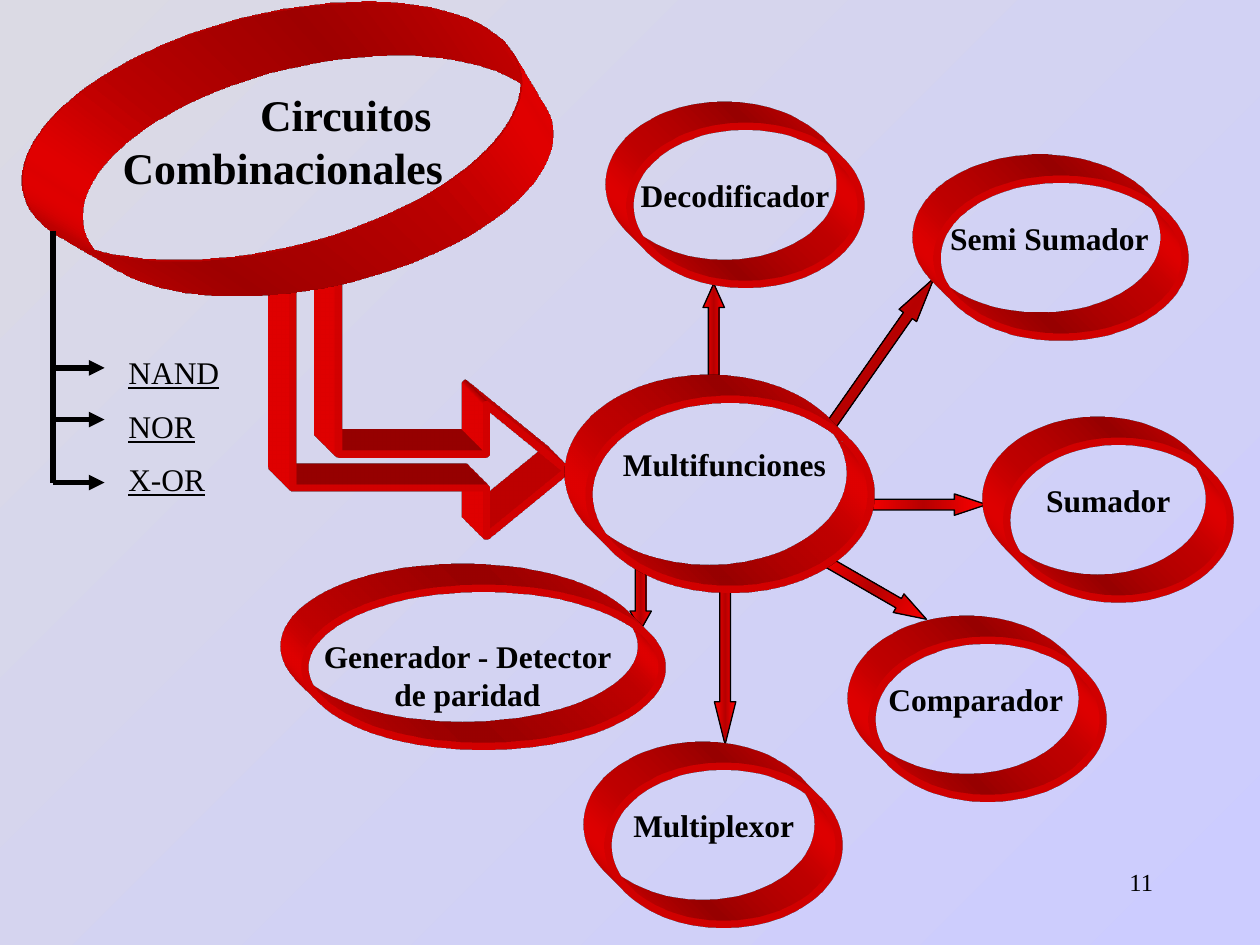
import pptx
import pptx.util
import pptx.oxml
import pptx.oxml.ns
import pptx.dml.color
import pptx.enum.shapes
import pptx.enum.text
from dataclasses import dataclass

Inches = pptx.util.Inches
Pt = pptx.util.Pt
Shape = pptx.enum.shapes.MSO_SHAPE
Align = pptx.enum.text.PP_ALIGN
NS = pptx.oxml.ns.nsdecls("a")


@dataclass
class Theme:
    font: str = "Times New Roman"
    ink: str = "000000"
    red: str = "FF0000"
    dark_red: str = "B60000"
    back_start: str = "DBDAE4"
    back_end: str = "CCCCFF"
    title: float = 25
    label: float = 18
    page: float = 14
    ring_line: float = 4.25
    tree_line: float = 3
    arrow_line: float = 0.75


def rgb(value):
    return pptx.dml.color.RGBColor.from_string(value)


class Diagram:
    def __init__(self, slide, theme):
        self.slide, self.theme = slide, theme

    def background(self):
        fill = self.slide.background.fill
        fill.gradient()
        fill.gradient_angle = 315
        colors = (self.theme.back_start, self.theme.back_end)
        for stop, position, color in zip(fill.gradient_stops, (0, 1), colors):
            stop.position = position
            stop.color.rgb = rgb(color)

    def text(self, box, words, size=None, bold=False, underline=False,
             align=Align.LEFT, spacing=None, indent=0):
        shape = self.slide.shapes.add_textbox(*map(Inches, box))
        frame = shape.text_frame
        frame.word_wrap = True
        paragraph = frame.paragraphs[0]
        paragraph.text = words
        paragraph.alignment = align
        if spacing:
            paragraph.line_spacing = Pt(spacing)
        if indent:
            paragraph._p.get_or_add_pPr().set("indent", str(Inches(indent)))
        font = paragraph.font
        font.name, font.size = self.theme.font, Pt(size or self.theme.label)
        font.bold, font.underline = bold, underline
        font.color.rgb = rgb(self.theme.ink)

    def label(self, box, words):
        self.text(box, words, bold=True, align=Align.CENTER, spacing=22)

    def extrude(self, shape, line, camera="legacyObliqueTopLeft",
                turn=(0, 0), depth=430200):
        """Outline a shape in red and give it depth."""
        shape.shadow.inherit = False
        shape.fill.background()
        shape.line.color.rgb = rgb(self.theme.red)
        shape.line.width = Pt(line)
        lat, lon = turn
        properties = shape._element.spPr
        properties.append(pptx.oxml.parse_xml(
            f'<a:scene3d {NS}><a:camera prst="{camera}">'
            f'<a:rot lat="{lat}" lon="{lon}" rev="0"/></a:camera>'
            '<a:lightRig rig="legacyFlat3" dir="b"/></a:scene3d>'))
        properties.append(pptx.oxml.parse_xml(
            f'<a:sp3d {NS} extrusionH="{depth}" prstMaterial="legacyMatte">'
            '<a:bevelT w="13500" h="13500" prst="angle"/>'
            '<a:bevelB w="13500" h="13500" prst="angle"/><a:extrusionClr>'
            f'<a:srgbClr val="{self.theme.red}"/></a:extrusionClr></a:sp3d>'))

    def ring(self, box, line=None, **depth):
        shape = self.slide.shapes.add_shape(Shape.OVAL, *map(Inches, box))
        self.extrude(shape, line or self.theme.ring_line, **depth)

    def outline(self, points):
        builder = self.slide.shapes.build_freeform(
            *map(Inches, points[0]), scale=1.0)
        builder.add_line_segments(
            [tuple(map(Inches, point)) for point in points[1:]], close=True)
        self.extrude(builder.convert_to_shape(), self.theme.ring_line)

    def block_arrow(self, kind, box, head, rotation=0):
        shape = self.slide.shapes.add_shape(kind, *map(Inches, box))
        shape.shadow.inherit = False
        shape.rotation = rotation
        shape.adjustments[0], shape.adjustments[1] = 0.5, head
        shape.line.color.rgb = rgb(self.theme.ink)
        shape.line.width = Pt(self.theme.arrow_line)
        # Three-stop gradient
        red, dark = self.theme.red, self.theme.dark_red
        stops = "".join(
            f'<a:gs pos="{position}"><a:srgbClr val="{color}"/></a:gs>'
            for position, color in ((0, red), (50000, dark), (100000, red)))
        shape._element.spPr.find(pptx.oxml.ns.qn("a:prstGeom")).addnext(
            pptx.oxml.parse_xml(
                f'<a:gradFill {NS} rotWithShape="1"><a:gsLst>{stops}</a:gsLst>'
                '<a:lin ang="0" scaled="1"/></a:gradFill>'))

    def line(self, start, end, arrow=False):
        connector = self.slide.shapes.add_connector(
            pptx.enum.shapes.MSO_CONNECTOR.STRAIGHT, *map(Inches, start + end))
        connector.line.color.rgb = rgb(self.theme.ink)
        connector.line.width = Pt(self.theme.tree_line)
        if arrow:
            connector.line._get_or_add_ln().append(
                pptx.oxml.parse_xml(f'<a:tailEnd {NS} type="triangle"/>'))
        connector._element.spPr.append(
            pptx.oxml.parse_xml(f"<a:effectLst {NS}/>"))


# Words, label box, ring box, arrow kind, arrow box, head length, rotation
FUNCTIONS = [
    ("Sumador", (7.67, 3.76, 2.25, 0.41), (7.99, 3.5, 1.77, 1.25),
     Shape.RIGHT_ARROW, (6.83, 3.92, 1, 0.17), 1.5, 0),
    ("Decodificador", (4.67, 1.34, 2.33, 0.41), (5, 1, 1.83, 1.25),
     Shape.UP_ARROW, (5.58, 2.25, 0.17, 0.75), 1.12, 0),
    ("Multiplexor", (4.5, 6.34, 2.33, 0.41), (4.83, 6.08, 1.83, 1.25),
     Shape.DOWN_ARROW, (5.67, 4.58, 0.17, 1.33), 2, 0),
    ("Semi Sumador", (7.08, 1.68, 2.5, 0.41), (7.44, 1.42, 1.96, 1.25),
     Shape.UP_ARROW, (6.92, 2.08, 0.17, 1.42), 2.12, 35),
    ("Comparador", (6.58, 5.34, 2.33, 0.41), (6.92, 5.08, 1.83, 1.25),
     Shape.LEFT_ARROW, (6.42, 4.58, 1, 0.17), 1.5, 210),
    ("Generador - Detector de paridad", (2.42, 5, 2.58, 0.71),
     (2.42, 4.67, 2.83, 1.25),
     Shape.DOWN_ARROW, (5, 4.42, 0.17, 0.58), 0.88, 0),
]

# Gate name, branch height, text top, text width
GATES = [("NAND", 2.92, 2.75, 1.08), ("NOR", 3.33, 3.18, 0.92),
         ("X-OR", 3.83, 3.6, 1.17)]

BENT_ARROW = [(4.5, 3.73), (3.86, 3.21), (3.86, 3.6), (2.69, 3.6),
              (2.69, 2.25), (2.33, 2.25), (2.33, 3.87), (3.86, 3.87),
              (3.86, 4.25)]


def main():
    deck = pptx.Presentation()
    deck.slide_width, deck.slide_height = Inches(10), Inches(7.5)
    theme = Theme()
    diagram = Diagram(deck.slides.add_slide(deck.slide_layouts[6]), theme)
    diagram.background()

    # Page number
    diagram.text((7.17, 6.83, 2.08, 0.5), "11", theme.page, align=Align.RIGHT)

    # Functions around the hub
    for words, label_box, ring_box, kind, arrow_box, head, turn in FUNCTIONS:
        diagram.block_arrow(kind, arrow_box, head, turn)
        diagram.ring(ring_box)
        diagram.label(label_box, words)

    # Main topic and the arrow to its hub
    diagram.outline(BENT_ARROW)
    diagram.ring((-0.17, 0, 4.33, 2.08), 1, camera="legacyPerspectiveFront",
                 turn=(20099999, 1500000), depth=887400)
    diagram.text((0.83, 0.65, 2.83, 0.93), "Circuitos Combinacionales",
                 theme.title, bold=True, align=Align.CENTER, indent=1)

    # Hub
    diagram.ring((4.68, 3.17, 2.23, 1.5))
    diagram.label((4.5, 3.48, 2.5, 0.41), "Multifunciones")

    # Gate tree
    trunk = 0.42
    diagram.line((trunk, 1.83), (trunk, GATES[-1][1]))
    for name, height, top, width in GATES:
        diagram.line((trunk, height), (0.83, height), arrow=True)
        diagram.text((0.92, top, width, 0.4), name, underline=True)

    deck.save("out.pptx")


if __name__ == "__main__":
    main()
